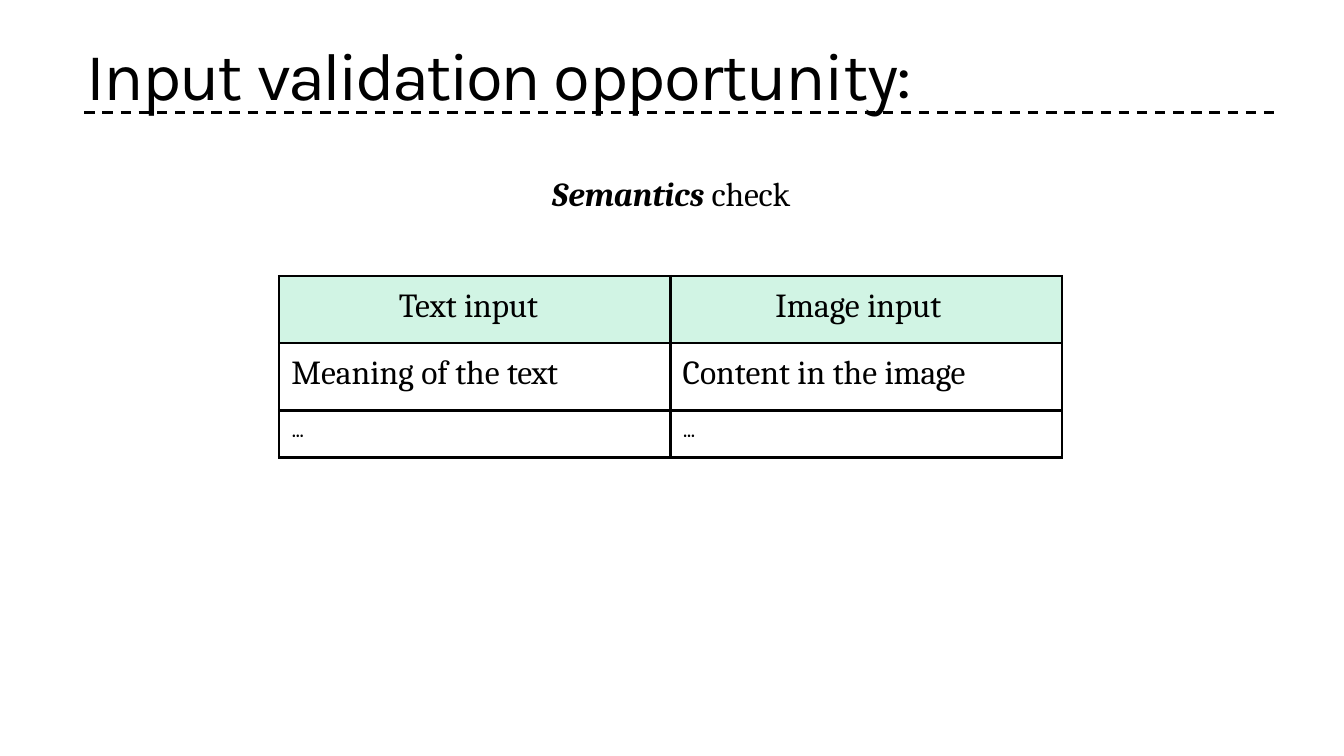
from lxml import etree
from pptx import Presentation
from pptx import util as u
from pptx.dml.color import RGBColor
from pptx.enum import dml, shapes, text
from pptx.oxml.ns import qn

BLACK = RGBColor(0x00, 0x00, 0x00)
WHITE = RGBColor(0xFF, 0xFF, 0xFF)
MINT = RGBColor(0xD1, 0xF4, 0xE4)
HEADING, BODY = "Karla", "Cambria"
GRID = u.Inches(0.1)


def grid(*counts):
    """Turn counts of grid columns or rows into lengths."""
    return [round(count * GRID) for count in counts]


def write(frame, *spans, font=BODY, size=18, indent=0.14, before=1):
    """Fill one paragraph with (words, tracking in points, bold, italic) spans."""
    para = frame.paragraphs[0]
    para.alignment = text.PP_ALIGN.LEFT
    para.space_before = u.Pt(before)
    para._p.get_or_add_pPr().set("marL", str(round(indent * GRID)))
    for words, tracking, bold, italic in spans:
        span = para.add_run()
        span.text = words
        span.font.name, span.font.size = font, u.Pt(size)
        span.font.bold, span.font.italic = bold, italic
        span.font.color.rgb = BLACK
        span._r.get_or_add_rPr().set("spc", str(round(tracking * 100)))


def plain(words, tracking=0):
    return words, tracking, False, False


class Sheet:
    def __init__(self, slide):
        self.slide = slide
        slide.background.fill.solid()
        slide.background.fill.fore_color.rgb = WHITE

    def label(self, place, *spans, anchor=text.MSO_ANCHOR.TOP, **style):
        frame = self.slide.shapes.add_textbox(*grid(*place)).text_frame
        frame.word_wrap = True
        frame.vertical_anchor = anchor
        frame.margin_left = frame.margin_right = frame.margin_bottom = 0
        frame.margin_top = u.Inches(0.01)
        write(frame, *spans, **style)

    def dashed_rule(self, left, right, row):
        rule = self.slide.shapes.add_connector(
            shapes.MSO_CONNECTOR.STRAIGHT, *grid(left, row, right, row))
        rule.line.color.rgb = BLACK
        rule.line.width = u.Pt(1.39)
        rule.line.dash_style = dml.MSO_LINE.DASH
        etree.SubElement(rule._element.spPr, qn("a:effectLst"))

    def border(self, cell):
        properties = cell._tc.get_or_add_tcPr()
        for side in ("lnL", "lnR", "lnT", "lnB"):
            line = etree.SubElement(properties, qn(f"a:{side}"), w=str(u.Pt(1.5)))
            fill = etree.SubElement(line, qn("a:solidFill"))
            etree.SubElement(fill, qn("a:srgbClr"), val=str(BLACK))

    def table(self, place, heights, rows):
        """Each row is a fill (or None), a format and a list of (spans, indent)."""
        table = self.slide.shapes.add_table(
            len(rows), len(rows[0][2]), *grid(*place)).table
        for row, height, (fill, style, entries) in zip(table.rows, heights, rows):
            row.height = grid(height)[0]
            for cell, (spans, indent) in zip(row.cells, entries):
                self.border(cell)
                if fill is None:
                    cell.fill.background()
                else:
                    cell.fill.solid()
                    cell.fill.fore_color.rgb = fill
                cell.margin_left = cell.margin_right = cell.margin_bottom = 0
                cell.margin_top = u.Pt(style["before"])
                write(cell.text_frame, *spans, indent=indent, **style)


def main():
    deck = Presentation()
    deck.slide_width, deck.slide_height = grid(100, 56.25)
    sheet = Sheet(deck.slides.add_slide(deck.slide_layouts[6]))

    sheet.label((6.32, 2.3, 86.2, 6.2), plain("Input ", -1.1),
                plain("validation ", -1.5), plain("opportunity:", -0.8),
                anchor=text.MSO_ANCHOR.MIDDLE, font=HEADING, size=36)
    sheet.dashed_rule(6.27, 95.07, 8.37)
    sheet.label((40.93, 12.8, 20.6, 3.3),
                ("Semantics ", 0, True, True), plain("check", -0.1))

    regular = {"before": 6}
    small = {"before": 6.4, "size": 9}
    more = ([("…", -0.5, True, False)], 0.9)
    sheet.table((20.77, 20.54, 58.25, 13.5), (5, 5, 3.5), [
        (MINT, regular, [
            ([plain("Text "), plain("input", -0.1)], 8.9),
            ([plain("Image "), plain("input", -0.1)], 7.8)]),
        (None, regular, [
            ([plain("Meaning of the "), plain("text", -0.2)], 0.9),
            ([plain("Content in the "), plain("image", -0.2)], 0.9)]),
        (None, small, [more, more]),
    ])
    deck.save("out.pptx")


if __name__ == "__main__":
    main()
